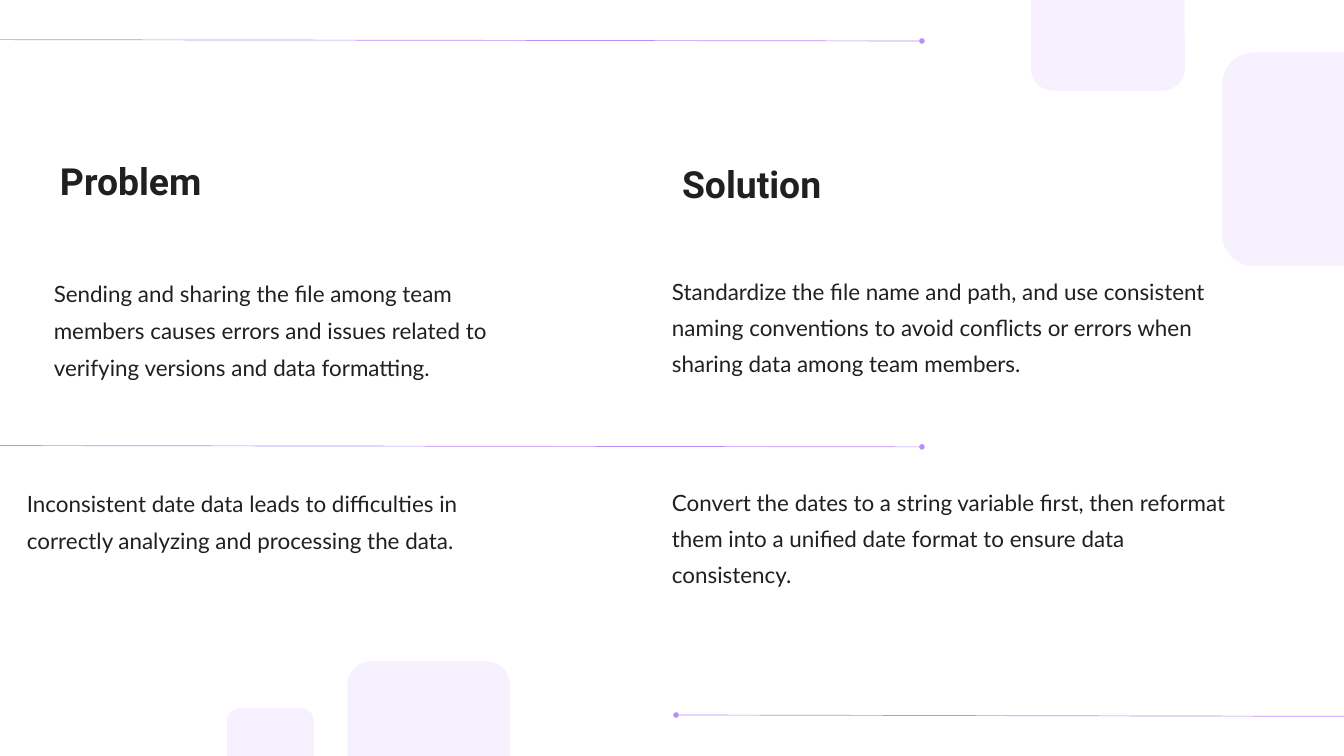
from dataclasses import dataclass

from lxml.etree import SubElement
from pptx import Presentation
from pptx.dml.color import RGBColor
from pptx.enum.shapes import MSO_CONNECTOR, MSO_SHAPE
from pptx.enum.text import MSO_AUTO_SIZE, PP_ALIGN
from pptx.oxml.ns import qn
from pptx.util import Inches, Pt


@dataclass(frozen=True)
class Theme:
    ink: RGBColor = RGBColor(0x20, 0x20, 0x20)
    accent: RGBColor = RGBColor(0xB9, 0x8D, 0xFA)
    tile: RGBColor = RGBColor(0xF6, 0xF0, 0xFF)
    heading_font: str = "Roboto"
    body_font: str = "Lato"
    heading_size: Pt = Pt(40)
    body_size: Pt = Pt(24)
    rule_width: Pt = Pt(0.75)
    tile_rounding: float = 0.147


THEME = Theme()

# left, top, side
TILES = [
    (18.19, 0.78, 3.18),
    (15.34, -0.94, 2.29),
    (5.17, 9.84, 2.42),
    (3.38, 10.54, 1.29),
]

# start, end, end that carries the dot
RULES = [
    ((-0.03, 0.59), (13.72, 0.61), "tailEnd"),
    ((10.06, 10.64), (20.01, 10.66), "headEnd"),
    ((-0.03, 6.63), (13.72, 6.65), "tailEnd"),
]

# text, box, line pitch in points
HEADINGS = [
    ("Problem", (-1.28, 2.36, 6.45, 0.68), 48),
    ("Solution", (7.96, 2.3, 6.45, 0.74), 55.2),
]
PROBLEMS = [
    ("Sending and sharing the file among team members causes errors and issues "
     "related to verifying versions and data formatting.", 0.8, 3.46),
    ("Inconsistent date data leads to difficulties in correctly analyzing and "
     "processing the data.", 0.4, 6.59),
]
SOLUTIONS = [
    ("Standardize the file name and path, and use consistent naming conventions "
     "to avoid conflicts or errors when sharing data among team members.", 10, 3.47),
    ("Convert the dates to a string variable first, then reformat them into a "
     "unified date format to ensure data consistency.", 10, 6.6),
]


def add_tile(slide, left, top, side):
    tile = slide.shapes.add_shape(
        MSO_SHAPE.ROUNDED_RECTANGLE,
        Inches(left), Inches(top), Inches(side), Inches(side))
    tile.adjustments[0] = THEME.tile_rounding
    tile.shadow.inherit = False
    tile.fill.solid()
    tile.fill.fore_color.rgb = THEME.tile
    tile.line.fill.background()


def add_dotted_rule(slide, start, end, dot_end):
    """Draw a thin line with a round dot at one end."""
    rule = slide.shapes.add_connector(
        MSO_CONNECTOR.STRAIGHT, *(Inches(value) for value in (*start, *end)))
    rule.line.color.rgb = THEME.accent
    rule.line.width = THEME.rule_width
    SubElement(rule.line._get_or_add_ln(), qn(f"a:{dot_end}"), type="oval")
    SubElement(rule._element.spPr, qn("a:effectLst"))


def add_text(slide, text, box, pitch, font, size,
             bold=False, align=PP_ALIGN.LEFT, top_inset=0):
    frame = slide.shapes.add_textbox(*(Inches(value) for value in box)).text_frame
    frame.word_wrap = True
    frame.auto_size = MSO_AUTO_SIZE.SHAPE_TO_FIT_TEXT
    frame.margin_left = frame.margin_right = frame.margin_bottom = 0
    frame.margin_top = top_inset
    paragraph = frame.paragraphs[0]
    paragraph.alignment = align
    paragraph.line_spacing = Pt(pitch)
    run = paragraph.add_run()
    run.text = text
    run.font.name = font
    run.font.size = size
    run.font.bold = bold
    run.font.color.rgb = THEME.ink


def add_heading(slide, text, box, pitch):
    add_text(slide, text, box, pitch, THEME.heading_font, THEME.heading_size,
             bold=True, align=PP_ALIGN.CENTER)


def add_column(slide, entries, width, height, pitch):
    """Add body texts, each set one line below the top of its box."""
    for text, left, top in entries:
        add_text(slide, text, (left, top, width, height), pitch,
                 THEME.body_font, THEME.body_size, top_inset=Pt(pitch))


def main():
    deck = Presentation()
    deck.slide_width, deck.slide_height = Inches(20), Inches(11.25)
    slide = deck.slides.add_slide(deck.slide_layouts[6])

    for tile in TILES:
        add_tile(slide, *tile)
    for rule in RULES:
        add_dotted_rule(slide, *rule)
    for heading in HEADINGS:
        add_heading(slide, *heading)
    add_column(slide, PROBLEMS, width=6.45, height=2.17, pitch=39.8)
    add_column(slide, SOLUTIONS, width=8.5, height=2.62, pitch=38.6)

    deck.save("out.pptx")


if __name__ == "__main__":
    main()
